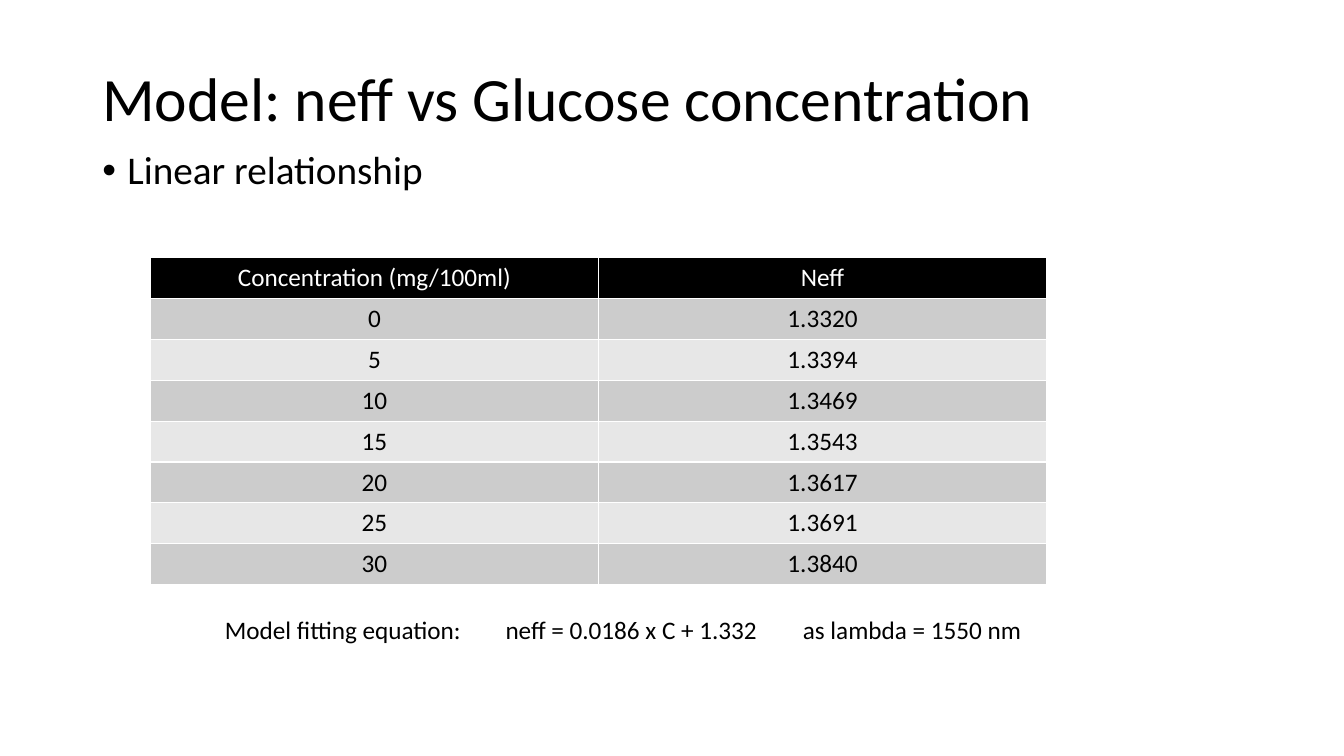
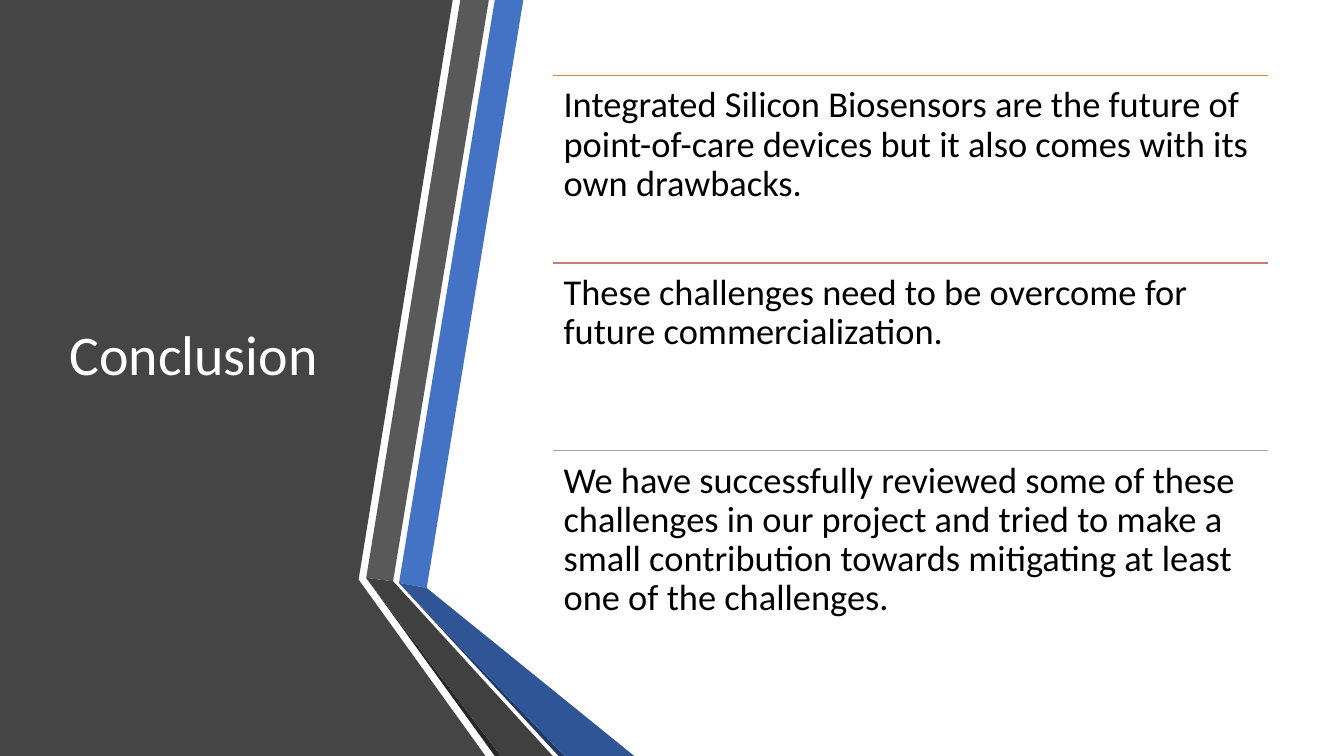
from lxml.etree import SubElement
from pptx import Presentation
from pptx.dml.color import RGBColor
from pptx.enum.shapes import MSO_CONNECTOR
from pptx.enum.text import MSO_ANCHOR, PP_ALIGN
from pptx.oxml.ns import qn
from pptx.util import Emu, Pt

# Shared style: a grid of 160 columns by 90 rows, one font, one palette
COLS, ROWS, UNIT = 160, 90, 76200
FONT = "Calibri"
HUES = {
    "black": "000000", "white": "FFFFFF",
    "odd": "CCCCCC", "even": "E7E7E7",
    "panel": "454545", "gray": "595959", "dark": "404040", "edge": "262626",
    "blue": "4472C4", "navy": "2F5597", "deep": "203864",
    "orange": "ED7D31", "rose": "C48170", "silver": "A5A5A5",
}

# Slide 1 content
DATA = [
    ("Concentration (mg/100ml)", "Neff"),
    ("0", "1.3320"), ("5", "1.3394"), ("10", "1.3469"), ("15", "1.3543"),
    ("20", "1.3617"), ("25", "1.3691"), ("30", "1.3840"),
]
MODEL = "Model fitting equation:\tneff = 0.0186 x C + 1.332\tas lambda = 1550 nm"

# Slide 2 content
POINTS = [
    ("orange", "Integrated Silicon Biosensors are the future of point-of-care "
               "devices but it also comes with its own drawbacks."),
    ("rose", "These challenges need to be overcome for future commercialization."),
    ("silver", "We have successfully reviewed some of these challenges in our "
               "project and tried to make a small contribution towards "
               "mitigating at least one of the challenges."),
]

# Bends where the upper and lower halves of each ribbon meet
GRAY_L, GRAY_R = (43.6, 68.8), (46.8, 69.2)
BLUE_L, BLUE_R = (47.5, 69.4), (50.8, 70)
BANDS = [
    ("panel", [(0, 0), (53.9, 0), (42.7, 69), (57.8, ROWS), (0, ROWS)]),
    ("blue", [BLUE_L, BLUE_R, (62.3, 0), (58.9, 0)]),
    ("gray", [GRAY_L, GRAY_R, (58.2, 0), (54.8, 0)]),
    ("edge", [GRAY_L, (58.9, ROWS), (59.6, ROWS)]),
    ("deep", [BLUE_L, (66.5, ROWS), (67.2, ROWS)]),
    ("navy", [BLUE_L, (67.2, ROWS), (75.5, ROWS), BLUE_R]),
    ("dark", [GRAY_L, (59.6, ROWS), (65.8, ROWS), GRAY_R]),
]


def grid(*cells):
    return [Emu(round(cell * UNIT)) for cell in cells]


def hue(name):
    return RGBColor.from_string(HUES[name])


def style(para, size, color):
    for run in para.runs:
        run.font.name = FONT
        run.font.size = Pt(size)
        run.font.bold = False
        run.font.color.rgb = hue(color)


def add_text(slide, box, text, size, color="black", pad=None, lead=0.9):
    """Add a wrapped text box and return its frame."""
    frame = slide.shapes.add_textbox(*grid(*box)).text_frame
    frame.word_wrap = True
    if pad:
        inset, = grid(pad)
        frame.margin_left = frame.margin_right = inset
        frame.margin_top = frame.margin_bottom = inset
    frame.text = text
    para = frame.paragraphs[0]
    para.line_spacing = lead
    style(para, size, color)
    return frame


def add_title(slide, box, text, size, color="black"):
    frame = add_text(slide, box, text, size, color)
    frame.vertical_anchor = MSO_ANCHOR.MIDDLE


def add_bullet(frame, indent):
    props = frame.paragraphs[0]._p.get_or_add_pPr()
    step, = grid(indent)
    props.set("marL", str(step))
    props.set("indent", str(-step))
    SubElement(props, qn("a:buFont")).set("typeface", "Arial")
    SubElement(props, qn("a:buChar")).set("char", "•")


def add_tabs(frame, *stops):
    props = frame.paragraphs[0]._p.get_or_add_pPr()
    tabs = SubElement(props, qn("a:tabLst"))
    for stop in grid(*stops):
        tab = SubElement(tabs, qn("a:tab"))
        tab.set("pos", str(stop))
        tab.set("algn", "l")


def add_frame(cell, color):
    """Draw all four cell borders, ahead of the fill."""
    props = cell._tc.get_or_add_tcPr()
    for side in ("a:lnL", "a:lnR", "a:lnT", "a:lnB"):
        line = SubElement(props, qn(side))
        line.set("w", str(Pt(1)))
        fill = SubElement(line, qn("a:solidFill"))
        SubElement(fill, qn("a:srgbClr")).set("val", HUES[color])


def add_grid(slide, box, data):
    table = slide.shapes.add_table(len(data), len(data[0]), *grid(*box)).table
    for r, row in enumerate(data):
        back = ("even", "odd")[r % 2] if r else "black"
        for c, text in enumerate(row):
            cell = table.cell(r, c)
            add_frame(cell, "white")
            cell.fill.solid()
            cell.fill.fore_color.rgb = hue(back)
            para = cell.text_frame.paragraphs[0]
            para.text = text
            para.alignment = PP_ALIGN.CENTER
            style(para, 18, "black" if r else "white")


def add_band(slide, color, points):
    first, *rest = [grid(*point) for point in points]
    maker = slide.shapes.build_freeform(*first)
    maker.add_line_segments(rest, close=True)
    band = maker.convert_to_shape()
    band.shadow.inherit = False
    band.fill.solid()
    band.fill.fore_color.rgb = hue(color)
    band.line.fill.background()


def add_rule(slide, left, top, width, color):
    ends = grid(left, top, left + width, top)
    rule = slide.shapes.add_connector(MSO_CONNECTOR.STRAIGHT, *ends)
    rule.line.color.rgb = hue(color)
    rule.line.width = Pt(1)
    SubElement(rule._element.spPr, qn("a:effectLst"))


def add_model(slide):
    add_title(slide, (11, 4.8, 138, 14.5), "Model: neff vs Glucose concentration", 44)
    body = add_text(slide, (11, 17.4, 138, 57.1), "Linear relationship", 28)
    add_bullet(body, 3)
    add_grid(slide, (17.9, 30.7, 106.7, 38.9), DATA)
    note = add_text(slide, (25.6, 72.6, 104.2, 4.8), MODEL, 18, lead=1)
    add_tabs(note, 33.4, 68.8)


def add_close(slide):
    for color, points in BANDS:
        add_band(slide, color, points)
    add_title(slide, (7.1, 9, 36.5, 67), "Conclusion", 40, "white")
    left, top, width, step = 65.8, 9, 85.2, 67 / len(POINTS)
    for i, (color, text) in enumerate(POINTS):
        row = top + i * step
        add_rule(slide, left, row, width, color)
        add_text(slide, (left, row, width, step), text, 26, pad=1.3)


def main():
    deck = Presentation()
    deck.slide_width, deck.slide_height = grid(COLS, ROWS)
    blank = deck.slide_layouts[6]
    for build in (add_model, add_close):
        build(deck.slides.add_slide(blank))
    deck.save("out.pptx")


if __name__ == "__main__":
    main()
